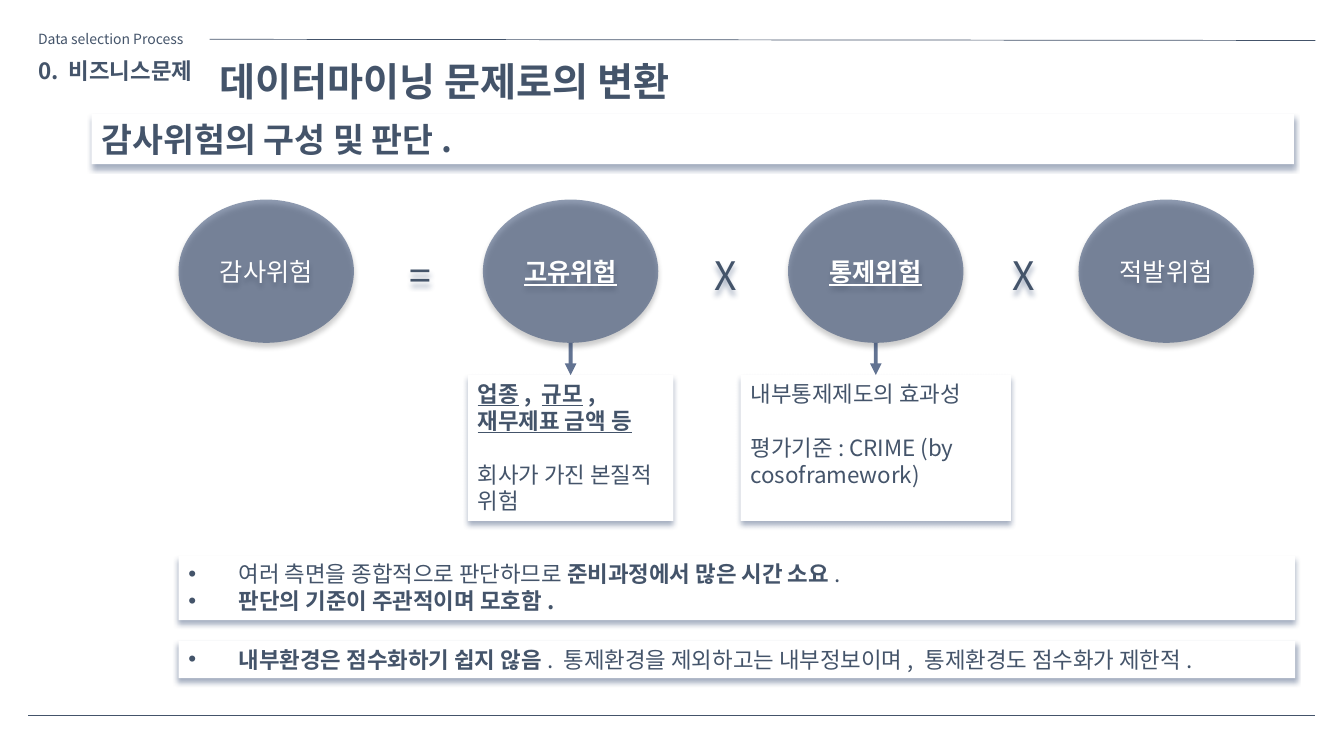
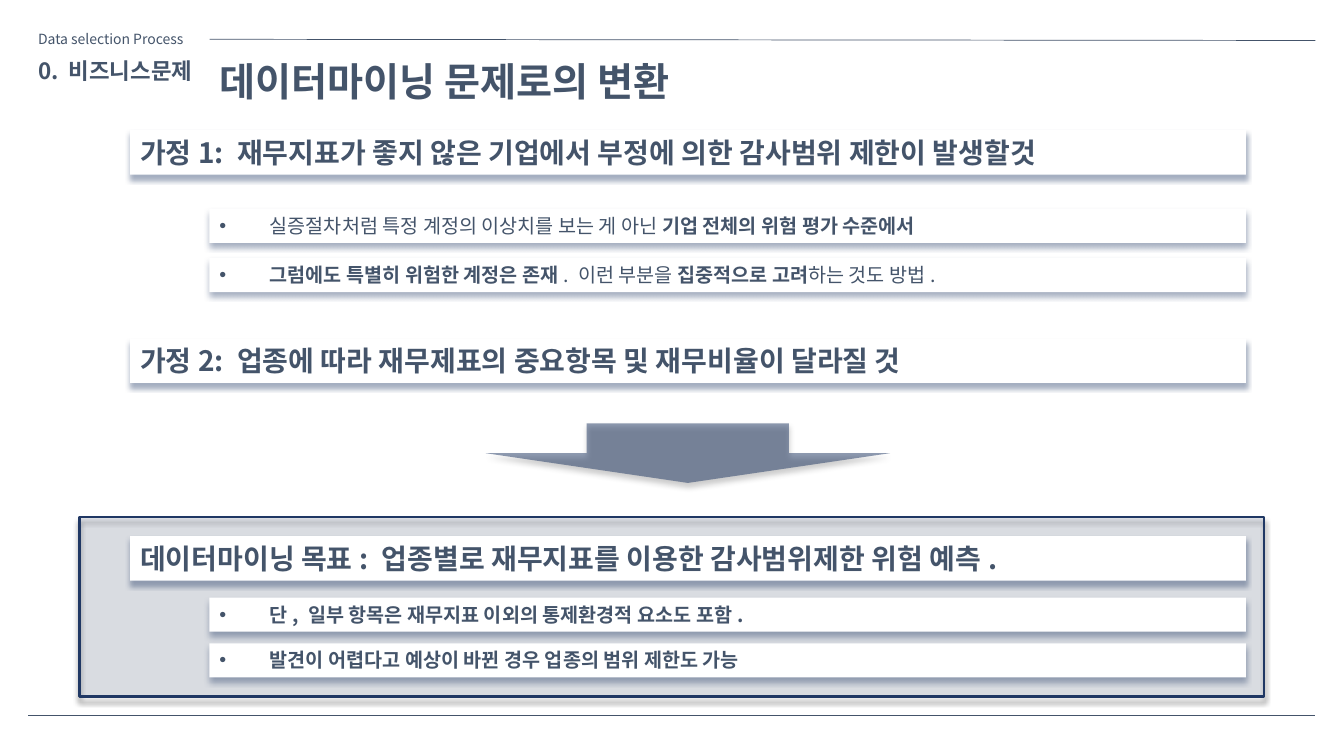
from lxml.etree import SubElement
from pptx import Presentation
from pptx.dml.color import RGBColor
from pptx.enum.shapes import MSO_CONNECTOR as CONNECTOR, MSO_SHAPE as SHAPE
from pptx.enum.text import MSO_ANCHOR as ANCHOR, PP_ALIGN as ALIGN
from pptx.oxml.ns import qn
from pptx.util import Cm, Pt

SLATE = RGBColor(0x44, 0x54, 0x6A)
NAVY = RGBColor(0x20, 0x38, 0x64)
WHITE = RGBColor(0xFF, 0xFF, 0xFF)
BLACK = RGBColor(0, 0, 0)
FONT = "Noto Sans CJK KR"
PLAIN, BOLD, UNDERLINED = "", "b", "bu"


def set_alpha(color_parent, percent):
    color = next(color_parent.iter(qn("a:srgbClr")))
    SubElement(color, qn("a:alpha"), val=str(percent * 1000))


def add_shadow(shape, color):
    shape.shadow.inherit = False
    effects = shape._element.spPr.find(qn("a:effectLst"))
    shadow = SubElement(effects, qn("a:outerShdw"), blurRad=str(Pt(4)), dist=str(Pt(3)),
                        dir="5400000", algn="t", rotWithShape="0")
    SubElement(shadow, qn("a:srgbClr"), val=str(color))
    set_alpha(shadow, 40)


def add_bullet(paragraph):
    properties = paragraph._p.get_or_add_pPr()
    properties.set("marL", str(Cm(1.27)))
    properties.set("indent", str(Cm(-1.27)))
    SubElement(properties, qn("a:buFont"), typeface="Arial")
    SubElement(properties, qn("a:buChar"), char="•")


def write(shape, paragraphs, size, color=SLATE, align=ALIGN.LEFT, bullet=False, gap=0):
    frame = shape.text_frame
    frame.word_wrap = True
    for index, runs in enumerate(paragraphs):
        paragraph = frame.add_paragraph() if index else frame.paragraphs[0]
        paragraph.alignment = align
        if index and gap:
            paragraph.space_before = Pt(gap)
        if bullet:
            add_bullet(paragraph)
        font = paragraph.font
        font.name, font.size, font.color.rgb = FONT, Pt(size), color
        SubElement(font._element, qn("a:ea"), typeface=FONT)
        for text, style in runs:
            run = paragraph.add_run()
            run.text = text
            run.font.bold = "b" in style
            run.font.underline = "u" in style


def add_text(slide, left, top, width, height, text, size, style=PLAIN):
    box = slide.shapes.add_textbox(Cm(left), Cm(top), Cm(width), Cm(height))
    write(box, [[(text, style)]], size)
    return box


def add_block(slide, kind, left, top, width, height, fill, shadow, opacity=100):
    shape = slide.shapes.add_shape(kind, Cm(left), Cm(top), Cm(width), Cm(height))
    shape.fill.solid()
    shape.fill.fore_color.rgb = fill
    if opacity < 100:
        set_alpha(shape._element.spPr, opacity)
    shape.line.fill.background()
    add_shadow(shape, shadow)
    return shape


def add_card(slide, left, top, width, height, paragraphs, size, **options):
    card = add_block(slide, SHAPE.RECTANGLE, left, top, width, height, WHITE, NAVY)
    card.text_frame.vertical_anchor = ANCHOR.TOP
    write(card, paragraphs, size, **options)


def add_line(slide, start, end, color, width):
    line = slide.shapes.add_connector(CONNECTOR.STRAIGHT, *map(Cm, start + end))
    line.line.color.rgb = color
    line.line.width = Pt(width)
    SubElement(line._element.spPr, qn("a:effectLst"))
    return line


def add_arrow(slide, start, end):
    arrow = add_line(slide, start, end, NAVY, 2.75)
    outline = arrow.line._get_or_add_ln()
    set_alpha(outline, 70)
    SubElement(outline, qn("a:tailEnd"), type="triangle")


def add_frame(presentation):
    slide = presentation.slides.add_slide(presentation.slide_layouts[6])
    add_line(slide, (5.28, 0.99), (33.15, 1.02), SLATE, 0.5)
    add_line(slide, (0.71, 18.03), (33.15, 18.03), SLATE, 0.5)
    add_text(slide, 0.71, 0.64, 4.57, 0.69, "Data selection Process", 10)
    add_text(slide, 0.71, 1.32, 4.57, 0.94, "0. 비즈니스문제", 16, BOLD)
    add_text(slide, 5.28, 1.32, 14.68, 1.45, "데이터마이닝 문제로의 변환", 28, BOLD)
    return slide


def add_risk(slide, left, top, text, style, callout):
    width, height, drop = 4.42, 3.61, 0.81
    ellipse = add_block(slide, SHAPE.OVAL, left, top, width, height, NAVY, BLACK, 50)
    ellipse.text_frame.vertical_anchor = ANCHOR.MIDDLE
    write(ellipse, [[(text, style)]], 18, WHITE, ALIGN.CENTER)
    if callout:
        card_width, paragraphs = callout
        center, bottom = left + width / 2, top + height
        add_card(slide, center - card_width / 2, bottom + drop, card_width, 3.68,
                 paragraphs, 16, gap=19.3)
        add_arrow(slide, (center, bottom), (center, bottom + drop))


def add_equation(slide, top):
    inherent = (5.18, [
        [("업종", UNDERLINED), (", ", BOLD), ("규모", UNDERLINED), (", ", BOLD),
         ("재무제표 금액 등", UNDERLINED)],
        [("회사가 가진 본질적 위험", PLAIN)]])
    control = (6.81, [
        [("내부통제제도의 효과성", PLAIN)],
        [("평가기준: CRIME (by cosoframework)", PLAIN)]])
    for left, text, style, callout in (
            (4.5, "감사위험", PLAIN, None),
            (12.17, "고유위험", UNDERLINED, inherent),
            (19.86, "통제위험", UNDERLINED, control),
            (27.18, "적발위험", PLAIN, None)):
        add_risk(slide, left, top, text, style, callout)
    for left, sign in ((10.08, "="), (17.75, "X"), (25.27, "X")):
        operator = add_text(slide, left, top + 1.19, 1.1, 1.45, sign, 28)
        add_shadow(operator, NAVY)


def add_risk_slide(presentation):
    slide = add_frame(presentation)
    add_card(slide, 2.31, 2.87, 30.3, 1.27, [[("감사위험의 구성 및 판단.", BOLD)]], 24)
    add_equation(slide, 5.03)
    add_card(slide, 4.5, 14, 28.14, 1.63, [
        [("여러 측면을 종합적으로 판단하므로 ", PLAIN),
         ("준비과정에서 많은 시간 소요", BOLD), (".", PLAIN)],
        [("판단의 기준이 주관적이며 모호함.", BOLD)]], 16, bullet=True)
    add_card(slide, 4.5, 16.15, 28.14, 0.94, [
        [("내부환경은 점수화하기 쉽지 않음", BOLD),
         (". 통제환경을 제외하고는 내부정보이며, 통제환경도 점수화가 제한적.", PLAIN)]],
        16, bullet=True)


def add_claim(slide, left, top, heading, first_note, note_step, notes=()):
    add_card(slide, left, top, 28.12, 1.12, [[(heading, BOLD)]], 20)
    for index, runs in enumerate(notes):
        add_card(slide, left + 2, top + first_note + index * note_step, 26.12, 0.86,
                 [runs], 14, bullet=True)


def add_goal(slide, left, top):
    panel = add_block(slide, SHAPE.RECTANGLE, left, top, 29.85, 4.52, NAVY, BLACK, 12)
    panel.line.color.rgb = NAVY
    panel.line.width = Pt(1.75)
    add_claim(slide, left + 1.27, top + 0.48,
              "데이터마이닝 목표: 업종별로 재무지표를 이용한 감사범위제한 위험 예측.", 1.55, 1.15, [
                  [("단, 일부 항목은 재무지표 이외의 통제환경적 요소도 포함.", BOLD)],
                  [("발견이 어렵다고 예상이 바뀐 경우 업종의 범위 제한도 가능", BOLD)]])


def add_goal_slide(presentation):
    slide = add_frame(presentation)
    add_claim(slide, 3.28, 3.28,
              "가정1: 재무지표가 좋지 않은 기업에서 부정에 의한 감사범위 제한이 발생할것", 1.98, 1.24, [
                  [("실증절차처럼 특정 계정의 이상치를 보는 게 아닌 ", PLAIN),
                   ("기업 전체의 위험 평가 수준에서", BOLD)],
                  [("그럼에도 특별히 위험한 계정은 존재", BOLD), (". 이런 부분을 ", PLAIN),
                   ("집중적으로 고려", BOLD), ("하는 것도 방법.", PLAIN)]])
    add_claim(slide, 3.28, 8.53,
              "가정2: 업종에 따라 재무제표의 중요항목 및 재무비율이 달라질 것", 0, 0)
    add_block(slide, SHAPE.DOWN_ARROW, 12.24, 10.67, 10.19, 1.5, NAVY, BLACK, 50)
    add_goal(slide, 2.01, 13.03)


def main():
    presentation = Presentation()
    presentation.slide_width, presentation.slide_height = Cm(33.87), Cm(19.05)
    add_risk_slide(presentation)
    add_goal_slide(presentation)
    presentation.save("out.pptx")


if __name__ == "__main__":
    main()
